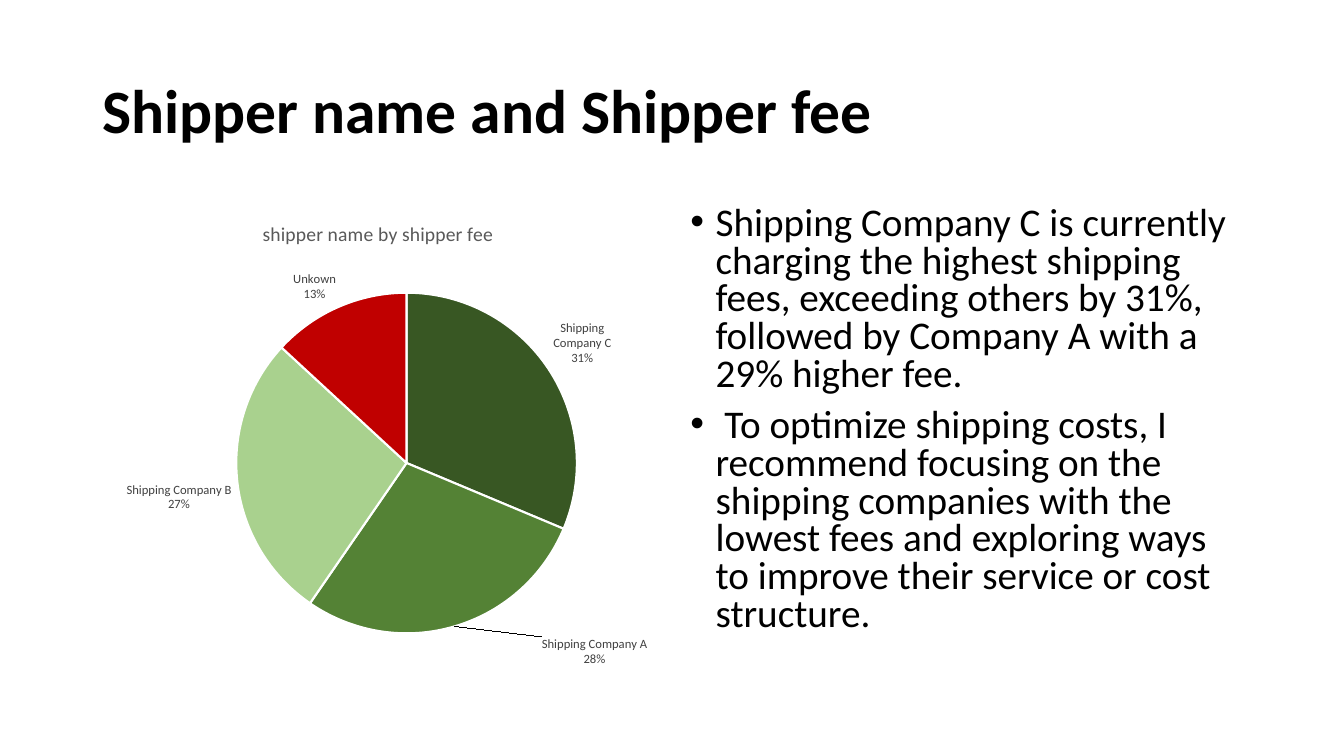
from pptx import Presentation
from pptx.chart.data import CategoryChartData
from pptx.dml.color import RGBColor
from pptx.enum.chart import XL_CHART_TYPE as ChartType, XL_LABEL_POSITION as LabelPosition
from pptx.enum.text import MSO_ANCHOR as Anchor, PP_ALIGN as Align
from pptx.oxml import parse_xml
from pptx.oxml.ns import nsdecls
from pptx.util import Cm, Pt

BLACK = RGBColor(0x00, 0x00, 0x00)
WHITE = RGBColor(0xFF, 0xFF, 0xFF)
TITLE_GREY = RGBColor(0x59, 0x59, 0x59)
LABEL_GREY = RGBColor(0x40, 0x40, 0x40)
FONT = "Calibri"

HEADING = "Shipper name and Shipper fee"
CHART_TITLE = "shipper name by shipper fee"
SHIPPERS = [
    ("Shipping Company C", 31, RGBColor(0x38, 0x57, 0x23)),
    ("Shipping Company A", 28, RGBColor(0x54, 0x82, 0x35)),
    ("Shipping Company B", 27, RGBColor(0xA9, 0xD1, 0x8E)),
    ("Unkown", 13, RGBColor(0xC0, 0x00, 0x00)),
]
FINDINGS = [
    "Shipping Company C is currently charging the highest shipping fees, "
    "exceeding others by 31%, followed by Company A with a 29% higher fee.",
    " To optimize shipping costs, I recommend focusing on the shipping companies with "
    "the lowest fees and exploring ways to improve their service or cost structure.",
]

PAGE_WIDTH, PAGE_HEIGHT = Cm(33.87), Cm(19.05)
MARGIN, GAP = Cm(2.33), Cm(0.42)
CONTENT_WIDTH = PAGE_WIDTH - 2 * MARGIN
COLUMN_WIDTH = (CONTENT_WIDTH - GAP) // 2
COLUMN_TOP, COLUMN_HEIGHT = Cm(5.08), Cm(12.09)
PIE_AREA = {"x": 0.25, "y": 0.19, "w": 0.6, "h": 0.71}
MOVED_LABEL, LABEL_SHIFT = 1, {"x": 0.15, "y": 0.01}


def style(font, size, color, bold=False):
    """Set typeface, size, colour and weight of a font."""
    font.name, font.size, font.bold = FONT, Pt(size), bold
    font.color.rgb = color


def manual_layout(values, prefix=""):
    """Return a chart layout element holding the given fractions."""
    parts = "".join(f'<c:{key} val="{value}"/>' for key, value in values.items())
    return parse_xml(f'<c:layout {nsdecls("c")}><c:manualLayout>{prefix}{parts}'
                     "</c:manualLayout></c:layout>")


def add_heading(page):
    """Fill and place the title placeholder."""
    title = page.shapes.title
    title.left, title.top, title.width, title.height = MARGIN, Cm(1.01), CONTENT_WIDTH, Cm(3.68)
    title.text_frame.vertical_anchor = Anchor.MIDDLE
    para = title.text_frame.paragraphs[0]
    para.alignment, para.line_spacing = Align.LEFT, 0.9
    span = para.add_run()
    span.text = HEADING
    style(span.font, 44, BLACK, bold=True)


def add_findings(page):
    """Write the bulleted findings in the right column."""
    left = MARGIN + COLUMN_WIDTH + GAP
    box = page.shapes.add_textbox(left, COLUMN_TOP, COLUMN_WIDTH, COLUMN_HEIGHT)
    frame = box.text_frame
    frame.word_wrap = True
    for number, finding in enumerate(FINDINGS):
        para = frame.add_paragraph() if number else frame.paragraphs[0]
        para.line_spacing, para.space_before = 0.8, Pt(10)
        props = para._p.get_or_add_pPr()
        props.set("marL", str(Cm(0.64)))
        props.set("indent", str(-Cm(0.64)))
        props.append(parse_xml(f'<a:buFont {nsdecls("a")} typeface="Arial"/>'))
        props.append(parse_xml(f'<a:buChar {nsdecls("a")} char="•"/>'))
        span = para.add_run()
        span.text = finding
        style(span.font, 28, BLACK)


def add_labels(series):
    """Show name and share outside each slice, with one label moved aside."""
    labels = series.data_labels
    labels.show_value = False
    labels.show_category_name = labels.show_percentage = True
    labels.number_format, labels.number_format_is_linked = "0%", False
    labels.position = LabelPosition.OUTSIDE_END
    style(labels.font, 9, LABEL_GREY)
    element = labels._element
    separator = parse_xml(f'<c:separator {nsdecls("c")}>\n</c:separator>')
    element.find("{*}showBubbleSize").addnext(separator)
    moved = parse_xml(
        f'<c:dLbl {nsdecls("c")}><c:idx val="{MOVED_LABEL}"/><c:dLblPos val="outEnd"/>'
        '<c:showLegendKey val="0"/><c:showVal val="0"/><c:showCatName val="1"/>'
        '<c:showSerName val="0"/><c:showPercent val="1"/><c:showBubbleSize val="0"/>'
        "<c:separator>\n</c:separator></c:dLbl>")
    moved.insert(1, manual_layout(LABEL_SHIFT))
    element.insert(0, moved)


def add_pie(page):
    """Draw the pie of shipper fees in the left column."""
    data = CategoryChartData()
    data.categories = [name for name, _, _ in SHIPPERS]
    data.add_series("Series 1", [fee for _, fee, _ in SHIPPERS])
    chart = page.shapes.add_chart(ChartType.PIE, MARGIN, COLUMN_TOP,
                                  COLUMN_WIDTH, COLUMN_HEIGHT, data).chart
    style(chart.font, 10, BLACK)
    chart.has_legend = False
    chart.has_title = True
    span = chart.chart_title.text_frame.paragraphs[0].add_run()
    span.text = CHART_TITLE
    style(span.font, 14, TITLE_GREY)
    plot = chart.plots[0]
    plot.vary_by_categories = True
    series = plot.series[0]
    for index, (_, _, color) in enumerate(SHIPPERS):
        slice_format = series.points[index].format
        slice_format.fill.solid()
        slice_format.fill.fore_color.rgb = color
        slice_format.line.color.rgb = WHITE
        slice_format.line.width = Pt(1.5)
    add_labels(series)
    area = chart._chartSpace.chart.plotArea
    for old in area.findall("{*}layout"):
        area.remove(old)
    inner = '<c:layoutTarget val="inner"/><c:xMode val="edge"/><c:yMode val="edge"/>'
    area.insert(0, manual_layout(PIE_AREA, inner))


def main():
    """Build and save the slide."""
    deck = Presentation()
    deck.slide_width, deck.slide_height = PAGE_WIDTH, PAGE_HEIGHT
    page = deck.slides.add_slide(deck.slide_layouts.get_by_name("Title Only"))
    add_heading(page)
    add_findings(page)
    add_pie(page)
    deck.save("out.pptx")


if __name__ == "__main__":
    main()
